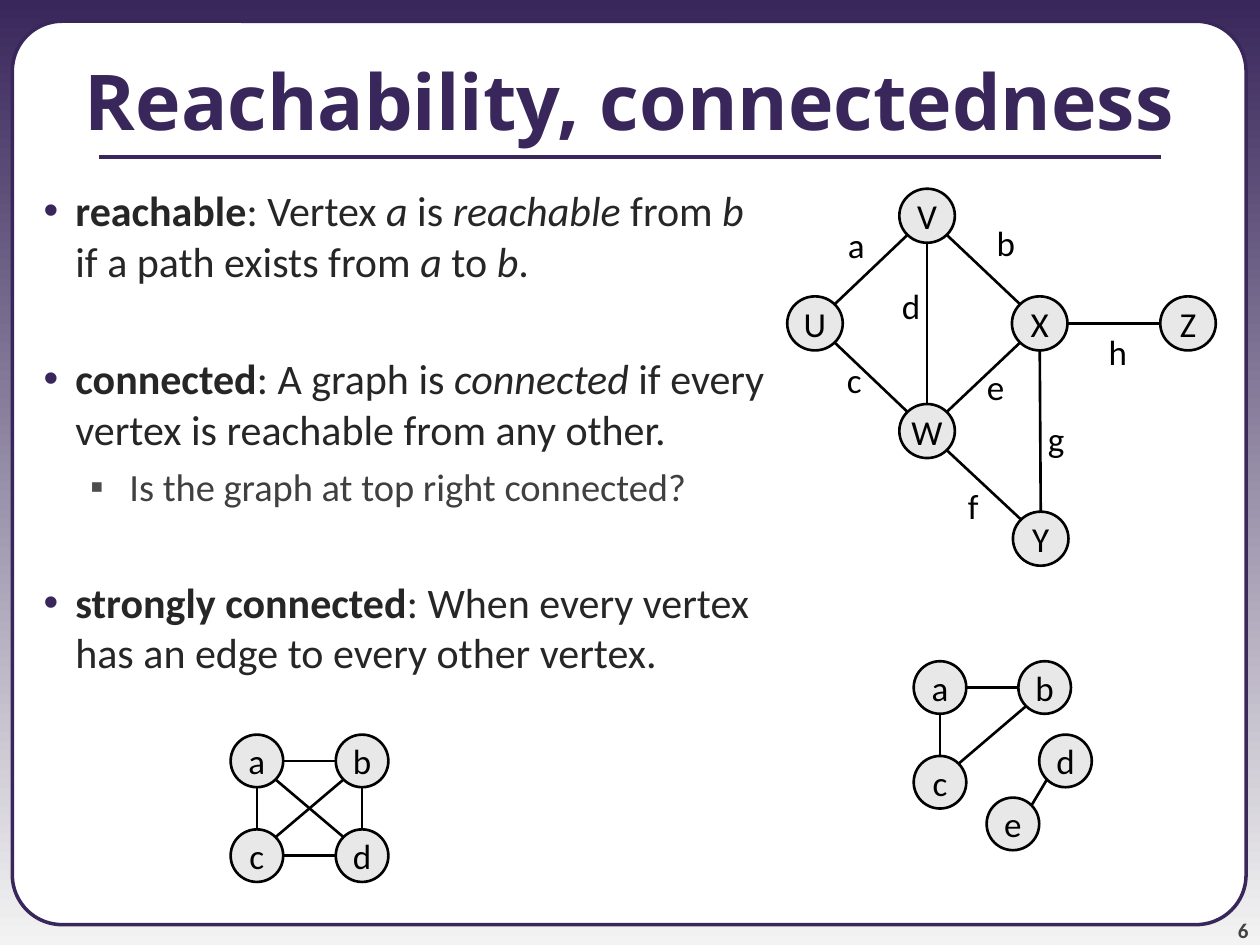
from lxml import etree
from pptx import Presentation
from pptx.dml.color import RGBColor
from pptx.enum.shapes import MSO_CONNECTOR, MSO_SHAPE
from pptx.enum.text import MSO_ANCHOR, MSO_AUTO_SIZE, PP_ALIGN
from pptx.oxml.ns import qn
from pptx.util import Cm, Pt

STRAIGHT = MSO_CONNECTOR.STRAIGHT
ELLIPSE, ROUNDED = MSO_SHAPE.OVAL, MSO_SHAPE.ROUNDED_RECTANGLE
MIDDLE, BOTTOM = MSO_ANCHOR.MIDDLE, MSO_ANCHOR.BOTTOM
CENTER, RIGHT = PP_ALIGN.CENTER, PP_ALIGN.RIGHT

COLORS = {
    "purple": "39275B", "mist": "F3F3F3", "white": "FFFFFF", "black": "000000",
    "node": "E8E8E8", "body": "262626", "detail": "404040",
    "detail_bullet": "4D4D4D", "number": "424242",
}
BODY_FONT, TITLE_FONT = "Calibri", "Open Sans"

TITLE = "Reachability, connectedness"
SLIDE_NUMBER = "6"

# Level, space before in points, runs of (text, style); "\n" breaks the line.
DEFINITIONS = [
    (0, 6, [("reachable", "bold"), (": Vertex ", ""), ("a", "italic"), (" is ", ""),
            ("reachable ", "italic"), ("from ", ""), ("b", "italic"), ("\n", ""),
            ("if a path exists from ", ""), ("a", "italic"), (" to ", ""),
            ("b", "italic"), (".", "")]),
    (0, 38.4, [("connected", "bold"), (": A graph is ", ""), ("connected", "italic"),
               (" if every", ""), ("\n", ""),
               ("vertex is reachable from any other.", "")]),
    (1, 5.5, [("Is the graph at top right connected?", "")]),
    (0, 38.4, [("strongly connected", "bold"), (": When every vertex", ""), ("\n", ""),
               ("has an edge to every other vertex.", "")]),
]
LEVELS = [
    {"size": 24, "color": "body", "bullet": "•", "bullet_color": "purple",
     "margin": 1.27, "indent": -0.64},
    {"size": 22, "color": "detail", "bullet": "▪", "bullet_color": "detail_bullet",
     "margin": 2.36, "indent": -0.79},
]

# Node centres and label centres in centimetres; an edge is a pair of nodes.
GRAPHS = [
    {"node_size": (1.12, 1.09), "grouped": True,
     "nodes": {"X": (20.96, 6.52), "U": (16.43, 6.52), "V": (18.69, 4.35),
               "W": (18.69, 8.69), "Z": (23.95, 6.52), "Y": (20.98, 10.86)},
     "edges": ["VU", "WU", "WX", "XZ", "VX", "VW", "WY", "XY"],
     "labels": {"a": (17.26, 4.93), "c": (17.22, 7.65), "b": (20.27, 4.9),
                "e": (20.07, 7.8), "d": (18.36, 6.17), "f": (19.62, 10.19),
                "g": (21.29, 8.84), "h": (22.53, 7.09)}},
    {"node_size": (1.06, 1.06), "grouped": False,
     "nodes": {"a": (5.18, 15.34), "c": (5.18, 17.25),
               "b": (7.3, 15.34), "d": (7.3, 17.25)},
     "edges": ["ac", "cd", "db", "cb", "ad", "ab"], "labels": {}},
    {"node_size": (1.06, 1.06), "grouped": True,
     "nodes": {"a": (18.95, 13.86), "c": (18.95, 15.77), "b": (21.06, 13.86),
               "d": (21.48, 15.34), "e": (20.42, 16.61)},
     "edges": ["ac", "ed", "cb", "ab"], "labels": {}},
]
LABEL_SIZE = (0.86, 1.11)


def rgb(name):
    return RGBColor.from_string(COLORS[name])


def add_run(paragraph, text, size, color, font=BODY_FONT, style=""):
    run = paragraph.add_run()
    run.text = text
    run.font.name, run.font.size = font, Pt(size)
    run.font.color.rgb = rgb(color)
    run.font.bold, run.font.italic = style == "bold", style == "italic"


def place(shape, left, top, width, height):
    shape.left, shape.top, shape.width, shape.height = map(Cm, (left, top, width, height))


def box_around(center, size):
    return [Cm(c - s / 2) for c, s in zip(center, size)] + [Cm(s) for s in size]


def style_outline(shape, fill, line, width):
    shape.shadow.inherit = False
    shape.fill.solid()
    shape.fill.fore_color.rgb = rgb(fill)
    shape.line.color.rgb = rgb(line)
    shape.line.width = Pt(width)


def add_line(shapes, start, end, color, width):
    line = shapes.add_connector(STRAIGHT, *map(Cm, (*start, *end)))
    line.line.color.rgb = rgb(color)
    line.line.width = Pt(width)
    etree.SubElement(line._element.spPr, qn("a:effectLst"))


def add_bullet(paragraph, level):
    properties = paragraph._p.get_or_add_pPr()
    properties.set("marL", str(Cm(level["margin"])))
    properties.set("indent", str(Cm(level["indent"])))
    color = etree.SubElement(properties, qn("a:buClr"))
    etree.SubElement(color, qn("a:srgbClr"), val=COLORS[level["bullet_color"]])
    etree.SubElement(properties, qn("a:buFont"), typeface="Arial")
    etree.SubElement(properties, qn("a:buChar"), char=level["bullet"])


def rim_point(center, other, size):
    """Return the one of the eight compass points of a node that faces another node."""
    steps = [0 if abs(o - c) < 0.1 else (1 if o > c else -1)
             for c, o in zip(center, other)]
    reach = 0.5 ** 0.5 if all(steps) else 1
    return [c + step * reach * s / 2 for c, step, s in zip(center, steps, size)]


def add_centered_text(shape, text):
    paragraph = shape.text_frame.paragraphs[0]
    paragraph.alignment = CENTER
    add_run(paragraph, text, 20, "black")


def add_graph(slide, graph):
    shapes = slide.shapes.add_group_shape().shapes if graph["grouped"] else slide.shapes
    nodes, size = graph["nodes"], graph["node_size"]
    for name, center in nodes.items():
        node = shapes.add_shape(ELLIPSE, *box_around(center, size))
        style_outline(node, "node", "black", 1.5)
        node.text_frame.word_wrap = False
        node.text_frame.vertical_anchor = MIDDLE
        add_centered_text(node, name)
    for first, second in graph["edges"]:
        start, end = nodes[first], nodes[second]
        add_line(shapes, rim_point(start, end, size), rim_point(end, start, size),
                 "black", 1.5)
    for name, center in graph["labels"].items():
        label = shapes.add_textbox(*box_around(center, LABEL_SIZE))
        label.text_frame.word_wrap = True
        add_centered_text(label, name)


def add_frame(slide):
    fill = slide.background.fill
    fill.gradient()
    fill.gradient_angle = 270
    for stop, color in zip(fill.gradient_stops, ("purple", "mist")):
        stop.color.rgb = rgb(color)
    panel = slide.shapes.add_shape(ROUNDED, *map(Cm, (0.25, 0.43, 24.87, 18.21)))
    panel.adjustments[0] = 0.055
    style_outline(panel, "white", "purple", 2)
    add_line(slide.shapes, (2, 3.17), (23.4, 3.17), "purple", 2.25)
    number = slide.shapes.add_textbox(*map(Cm, (23.06, 17.98, 2.11, 1.02))).text_frame
    number.margin_left = number.margin_right = number.margin_top = number.margin_bottom = 0
    number.word_wrap, number.vertical_anchor = True, BOTTOM
    number.paragraphs[0].alignment = RIGHT
    add_run(number.paragraphs[0], SLIDE_NUMBER, 12, "number", style="bold")


def add_title(slide):
    title = slide.shapes.title
    place(title, 0, 0.43, 25.4, 3.17)
    slide.shapes._spTree.append(title._element)  # in front of the panel
    frame = title.text_frame
    frame.auto_size, frame.vertical_anchor = MSO_AUTO_SIZE.NONE, MIDDLE
    frame.paragraphs[0].alignment = CENTER
    add_run(frame.paragraphs[0], TITLE, 44, "purple", TITLE_FONT, "bold")


def add_definitions(slide):
    frame = slide.shapes.add_textbox(*map(Cm, (0, 3.6, 25.4, 15.45))).text_frame
    frame.word_wrap = True
    for index, (level_number, space_before, runs) in enumerate(DEFINITIONS):
        level = LEVELS[level_number]
        paragraph = frame.add_paragraph() if index else frame.paragraphs[0]
        paragraph.level = level_number
        paragraph.space_before = Pt(space_before)
        add_bullet(paragraph, level)
        for text, style in runs:
            if text == "\n":
                paragraph.add_line_break()
            else:
                add_run(paragraph, text, level["size"], level["color"], style=style)


def main():
    presentation = Presentation()
    presentation.slide_width, presentation.slide_height = Cm(25.4), Cm(19.05)
    slide = presentation.slides.add_slide(presentation.slide_layouts[5])
    add_frame(slide)
    add_title(slide)
    add_definitions(slide)
    for graph in GRAPHS:
        add_graph(slide, graph)
    presentation.save("out.pptx")


if __name__ == "__main__":
    main()
